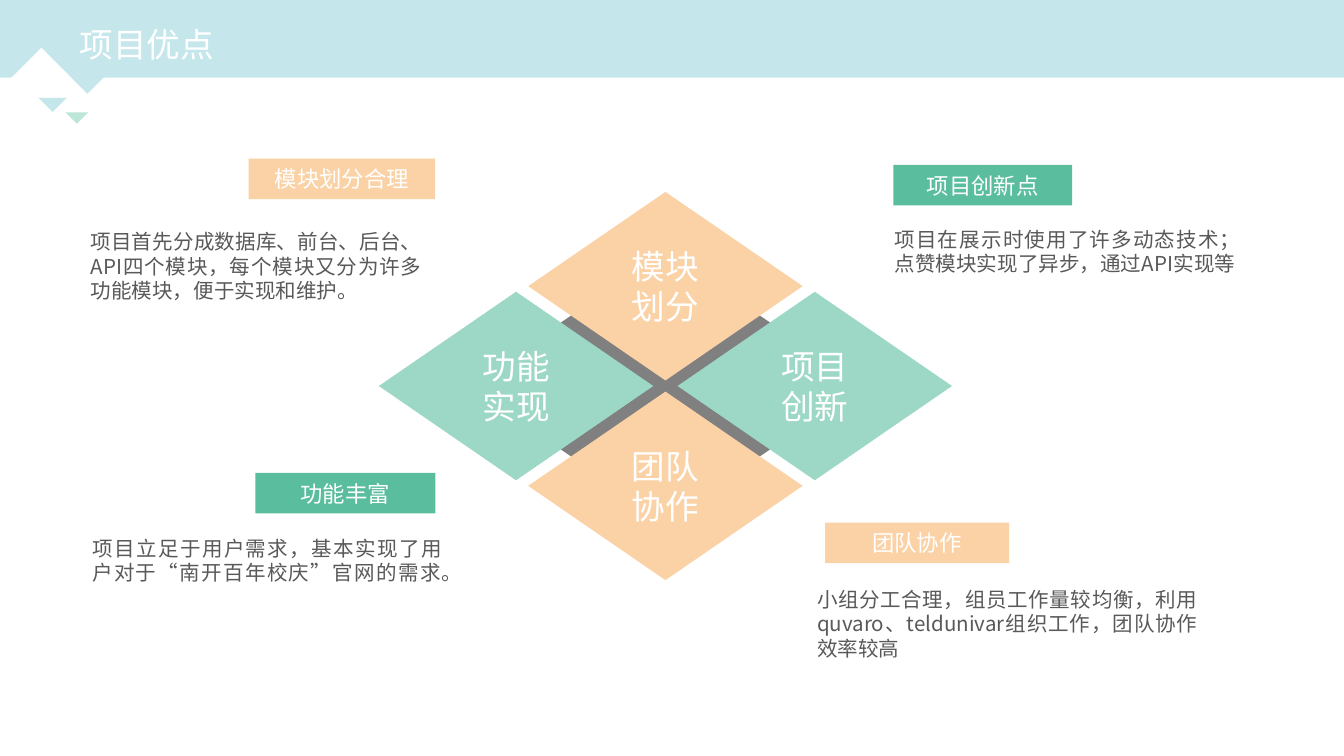
import dataclasses

import lxml.etree
import pptx
import pptx.dml.color
import pptx.enum.shapes
import pptx.enum.text
import pptx.oxml.ns
import pptx.util

Pt = pptx.util.Pt
SHAPE = pptx.enum.shapes.MSO_SHAPE
ALIGN = pptx.enum.text.PP_ALIGN
ANCHOR = pptx.enum.text.MSO_ANCHOR


@dataclasses.dataclass(frozen=True)
class Theme:
    font: str = "Noto Sans CJK SC"
    white: str = "FFFFFF"
    sky: str = "C5E7EB"
    mint: str = "BDE5D8"
    peach: str = "FBD2A6"
    green: str = "5ABE9E"
    aqua: str = "9CD8C5"
    gray: str = "808080"
    ink: str = "595959"
    title: float = 18
    tile: float = 18
    label: float = 12
    body: float = 11
    leading: float = 1.19


T = Theme()


def rgb(color):
    return pptx.dml.color.RGBColor.from_string(color)


def paint(sp, color):
    sp.shadow.inherit = False
    sp.fill.solid()
    sp.fill.fore_color.rgb = rgb(color)
    sp.line.fill.background()


def add_block(shapes, kind, box, color):
    sp = shapes.add_shape(kind, *map(Pt, box))
    paint(sp, color)
    return sp


def write(sp, text, size, color, align, anchor):
    tf = sp.text_frame
    tf.word_wrap = True
    tf.vertical_anchor = anchor
    p = tf.paragraphs[0]
    p.alignment = align
    p.line_spacing = Pt(size * T.leading)
    r = p.add_run()
    r.text = text
    r.font.size = Pt(size)
    r.font.name = T.font
    r.font.color.rgb = rgb(color)
    ea = lxml.etree.SubElement(r.font._element, pptx.oxml.ns.qn("a:ea"))
    ea.set("typeface", T.font)


def add_triangle(s, x, y, half, rise, color):
    fb = s.shapes.build_freeform(Pt(x - half), Pt(y))
    fb.add_line_segments([(Pt(x + half), Pt(y)), (Pt(x), Pt(y + rise))])
    paint(fb.convert_to_shape(), color)


def add_header(s, x, y, w, h, title):
    add_block(s.shapes, SHAPE.RECTANGLE, (x, y, w, h), T.sky)
    for dx, dy, half, rise, color in (
        (46.8, -3.6, 12.2, 12.2, T.sky),
        (41.2, 18.6, 6.1, 6.1, T.mint),
        (22.2, 0.6, 16.6, -16.6, T.white),
        (28.2, 10.8, 7.6, 7.6, T.sky),
    ):
        add_triangle(s, x + dx, y + h + dy, half, rise, color)
    sp = s.shapes.title
    sp.left, sp.top, sp.width, sp.height = map(Pt, (x + 35.5, y + 8.5, 400, 30))
    write(sp, title, T.title, T.white, ALIGN.LEFT, ANCHOR.MIDDLE)
    s.shapes._spTree.append(sp._element)


def add_tile(s, cx, cy, w, h, text, color):
    g = s.shapes.add_group_shape()
    add_block(g.shapes, SHAPE.DIAMOND, (cx - w / 2, cy - h / 2, w, h), color)
    tw, th = 67.5, 51
    sp = add_block(g.shapes, SHAPE.RECTANGLE, (cx - tw / 2, cy - th / 2, tw, th), color)
    write(sp, text, T.tile, T.white, ALIGN.CENTER, ANCHOR.MIDDLE)


def add_diamonds(s, x, y, w, h):
    cx, cy = x + w / 2, y + h / 2
    add_block(s.shapes, SHAPE.DIAMOND, (cx - 105.5, cy - 72.5, 211, 145), T.gray)
    tile_w, tile_h = 147, 101
    dx, dy = (w - tile_w) / 2, (h - tile_h) / 2
    for i, j, text, color in (
        (-1, 0, "功能实现", T.aqua),
        (0, -1, "模块划分", T.peach),
        (1, 0, "项目创新", T.aqua),
        (0, 1, "团队协作", T.peach),
    ):
        add_tile(s, cx + i * dx, cy + j * dy, tile_w, tile_h, text, color)


def add_card(s, x, y, w, h, label_dx, label_w, body_dy, label, body, color):
    sp = add_block(s.shapes, SHAPE.RECTANGLE, (x + label_dx, y, label_w, 21.7), color)
    write(sp, label, T.label, T.white, ALIGN.CENTER, ANCHOR.MIDDLE)
    sp = s.shapes.add_textbox(*map(Pt, (x, y + body_dy, w, h - body_dy)))
    write(sp, body, T.body, T.ink, ALIGN.JUSTIFY, ANCHOR.TOP)


def main():
    prs = pptx.Presentation()
    prs.slide_width, prs.slide_height = Pt(720), Pt(405)
    s = prs.slides.add_slide(prs.slide_layouts[5])
    add_header(s, 0, 0, 720, 41.6, "项目优点")
    add_diamonds(s, 203, 102.8, 307, 208)
    for card in (
        (41.5, 85, 191.5, 82, 91.7, 100, 34.5, "模块划分合理",
         "项目首先分成数据库、前台、后台、API四个模块，每个模块又分为许多功能模块，便于实现和维护。", T.peach),
        (472.2, 88.4, 199.5, 63.5, 6.4, 95.8, 29.6, "项目创新点",
         "项目在展示时使用了许多动态技术；点赞模块实现了异步，通过API实现等", T.green),
        (42.4, 253.4, 201.6, 64, 94.4, 96.4, 30.3, "功能丰富",
         "项目立足于用户需求，基本实现了用户对于“南开百年校庆”官网的需求。", T.green),
        (430.6, 280, 218, 78.5, 11.4, 98.6, 31, "团队协作",
         "小组分工合理，组员工作量较均衡，利用quvaro、teldunivar组织工作，团队协作效率较高", T.peach),
    ):
        add_card(s, *card)
    prs.save("out.pptx")


if __name__ == "__main__":
    main()
